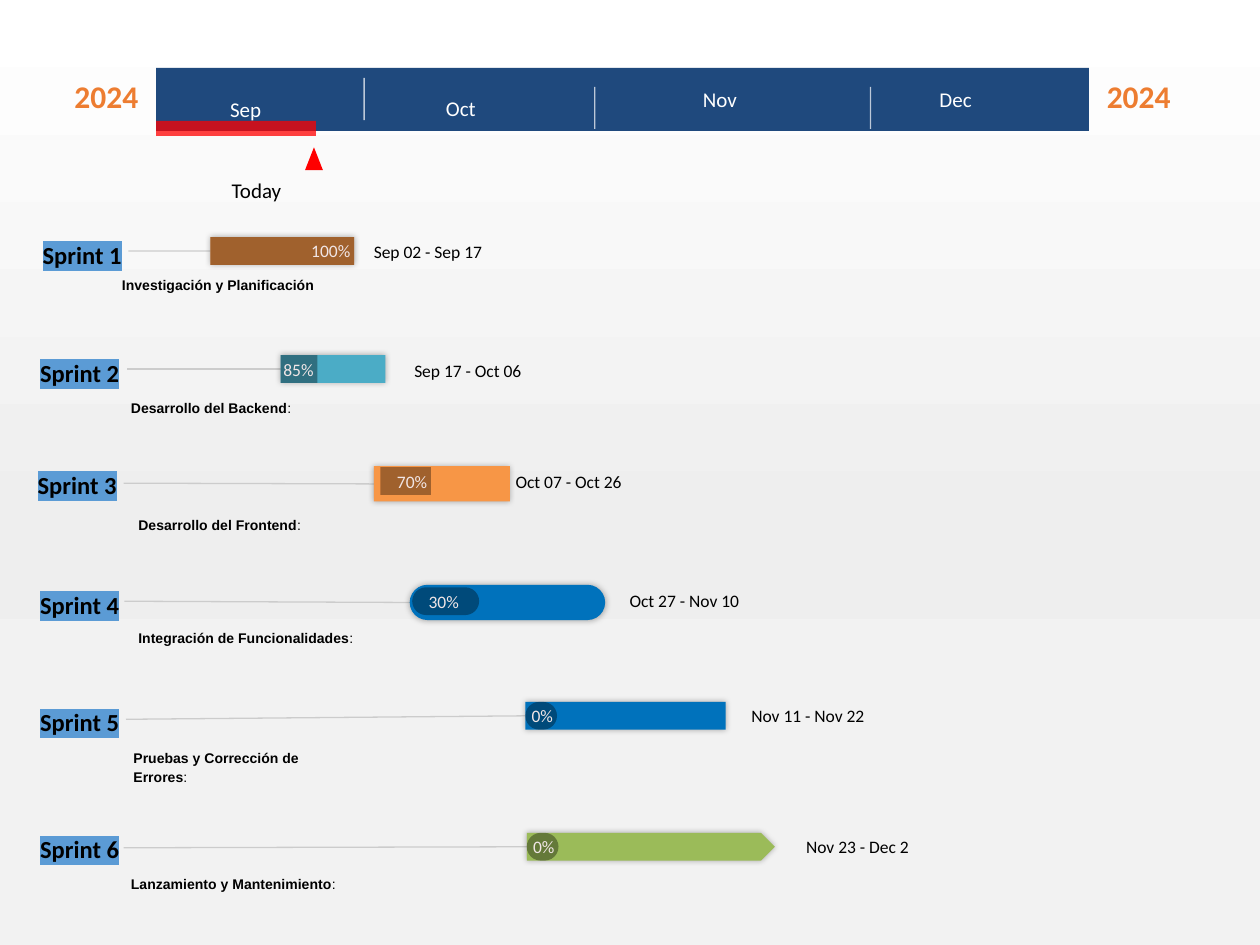
from collections import namedtuple

from lxml import etree
from pptx import Presentation
from pptx import util as u
from pptx.dml.color import RGBColor
from pptx.enum import shapes, text
from pptx.oxml import ns

KIND = shapes.MSO_SHAPE
ALIGN = text.PP_ALIGN
MIDDLE = text.MSO_ANCHOR.MIDDLE
NO_MARGINS = (0, 0, 0, 0)

YEAR = {"name": "Calibri", "size": u.Pt(18), "bold": True, "color": "ED7D31"}
MONTH = {"name": "Calibri", "size": u.Pt(12), "color": "FFFFFF"}
TODAY = {"name": "Calibri", "size": u.Pt(12), "color": "000000"}
SPRINT = {"name": "Calibri", "size": u.Pt(14), "bold": True, "color": "000000"}
DATES = {"name": "Calibri", "size": u.Pt(10), "color": "000000"}
PERCENT = {"name": "Calibri", "size": u.Pt(10), "color": "F1E6E6"}
TASK = {"name": "Arial", "size": u.Pt(8), "bold": True, "color": "000000"}
COLON = {**TASK, "bold": False}
TASK_SPACING = {"line_spacing": 1.15, "space_before": u.Pt(12), "space_after": u.Pt(12)}

Sprint = namedtuple(
    "Sprint", "label line kind color bar done_kind done percent align dates period task_box task colon"
)
SPRINTS = [
    Sprint((0.86, 4.83, 2.34, 0.61), (2.59, 5.06), KIND.RECTANGLE, "F79646", (4.24, 4.78, 2.9, 0.56),
           KIND.RECTANGLE, (4.24, 4.78, 2.9, 0.56), "100% ", ALIGN.RIGHT,
           (7.34, 4.85, 2.57, 0.43), "Sep 02 - Sep 17",
           (2.21, 5.33, 4.55, 0.86), "Investigación y Planificación", ""),
    Sprint((0.81, 7.21, 1.65, 0.61), (2.57, 7.44), KIND.RECTANGLE, "4BACC6", (5.66, 7.16, 2.11, 0.56),
           KIND.RECTANGLE, (5.66, 7.16, 0.74, 0.56), "85% ", ALIGN.RIGHT,
           (8.26, 7.19, 2.34, 0.56), "Sep 17 - Oct 06",
           (2.39, 7.8, 3.91, 0.86), "Desarrollo del Backend", ":"),
    Sprint((0.76, 9.47, 1.75, 0.61), (2.49, 9.74), KIND.RECTANGLE, "F79646", (7.54, 9.4, 2.74, 0.71),
           KIND.RECTANGLE, (7.67, 9.42, 1.02, 0.56), "70% ", ALIGN.RIGHT,
           (10.24, 9.5, 2.44, 0.43), "Oct 07 - Oct 26",
           (2.54, 10.16, 4.37, 0.86), "Desarrollo del Frontend", ":"),
    Sprint((0.81, 11.89, 1.75, 0.61), (2.51, 12.12), KIND.ROUNDED_RECTANGLE, "0072BC",
           (8.26, 11.79, 3.94, 0.71),
           KIND.ROUNDED_RECTANGLE, (8.31, 11.84, 1.35, 0.56), "30% ", ALIGN.CENTER,
           (12.55, 11.76, 2.49, 0.71), "Oct 27 - Nov 10",
           (2.54, 12.45, 5.18, 0.86), "Integración de Funcionalidades", ":"),
    Sprint((0.81, 14.25, 1.65, 0.61), (2.54, 14.5), KIND.RECTANGLE, "0072BC", (10.59, 14.15, 4.04, 0.56),
           KIND.ROUNDED_RECTANGLE, (10.59, 14.15, 0.64, 0.56), "0% ", ALIGN.RIGHT,
           (15.04, 14.15, 2.49, 0.56), "Nov 11 - Nov 22",
           (2.44, 14.81, 4.95, 0.86), "Pruebas y Corrección de Errores", ":"),
    Sprint((0.81, 16.81, 2.06, 0.61), (2.49, 17.09), KIND.PENTAGON, "9BBB59", (10.62, 16.79, 5, 0.56),
           KIND.ROUNDED_RECTANGLE, (10.62, 16.79, 0.64, 0.56), "0% ", ALIGN.RIGHT,
           (16.03, 16.81, 2.51, 0.51), "Nov 23 - Dec 2",
           (2.39, 17.4, 4.9, 0.86), "Lanzamiento y Mantenimiento", ":"),
]


def rgb(color):
    """Turn a hex string into a colour."""
    return RGBColor.from_string(color)


def add_node(parent, tag, **values):
    """Append a drawing element with attributes."""
    return etree.SubElement(parent, ns.qn(tag), {key: str(value) for key, value in values.items()})


def fade(item, opacity):
    """Make the colours of a shape or line partly transparent."""
    for node in item.element.spPr.iter(ns.qn("a:srgbClr")):
        add_node(node, "a:alpha", val=opacity * 1000)


def add_backdrop(page):
    """Give the page a vertical grey gradient."""
    fill = page.background.fill
    fill.gradient()
    fill.gradient_angle = 270
    stops = page.element.xpath(".//a:gsLst")[0]
    for old in list(stops):
        stops.remove(old)
    for position, color in ((0, "FFFFFF"), (57, "EEEEEE"), (74, "F2F2F2"), (100, "F2F2F2")):
        add_node(add_node(stops, "a:gs", pos=position * 1000), "a:srgbClr", val=color)


def write(shape, spans, align=ALIGN.LEFT, anchor=MIDDLE, margins=NO_MARGINS, spacing=None):
    """Fill a shape with one paragraph of formatted spans."""
    frame = shape.text_frame
    frame.word_wrap, frame.vertical_anchor = True, anchor
    for side, margin in zip(("left", "top", "right", "bottom"), margins):
        setattr(frame, f"margin_{side}", u.Cm(margin))
    para = frame.paragraphs[0]
    para.alignment = align
    for key, value in (spacing or {}).items():
        setattr(para, key, value)
    for words, style in spans:
        span = para.add_run()
        span.text = words
        for key, value in style.items():
            if key == "color":
                span.font.color.rgb = rgb(value)
            else:
                setattr(span.font, key, value)


def add_text(page, box, spans, **layout):
    """Add a text box."""
    shape = page.shapes.add_textbox(*map(u.Cm, box))
    write(shape, spans, **layout)
    return shape


def add_block(page, kind, box, color, opacity=None, shadow=False):
    """Add a filled shape without outline."""
    shape = page.shapes.add_shape(kind, *map(u.Cm, box))
    shape.shadow.inherit = False
    shape.fill.solid()
    shape.fill.fore_color.rgb = rgb(color)
    shape.line.fill.background()
    if kind == KIND.ROUNDED_RECTANGLE:
        shape.adjustments[0] = 0.5
    if opacity:
        fade(shape, opacity)
    if shadow:
        effects = shape.element.spPr.find(ns.qn("a:effectLst"))
        outer = add_node(effects, "a:outerShdw", blurRad=u.Pt(3.5), dist=0, dir=0)
        add_node(add_node(outer, "a:srgbClr", val="000000"), "a:alpha", val=30000)
    return shape


def add_line(page, ends, color):
    """Add a thin straight line."""
    line = page.shapes.add_connector(shapes.MSO_CONNECTOR.STRAIGHT, *map(u.Cm, ends))
    line.line.color.rgb = rgb(color)
    line.line.width = u.Pt(0.75)
    add_node(line.element.spPr, "a:effectLst")
    return line


def add_header(page):
    """Add the month band, the years and the marker for today."""
    add_block(page, KIND.RECTANGLE, (3.15, 1.37, 18.8, 1.27), "1F497D")
    for left in (1.14, 21.95):
        add_text(page, (left, 1.55, 2.01, 0.76), [("2024", YEAR)],
                 align=ALIGN.CENTER, margins=(0.35, 0, 0.35, 0))
    for month, left, top in (("Sep", 4.39, 1.57), ("Oct", 8.74, 1.55), ("Nov", 13.92, 1.37), ("Dec", 18.69, 1.37)):
        add_text(page, (left, top, 1.57, 1.27), [(month, MONTH)], margins=(0.25, 0.13, 0.25, 0.13))
    for left, top in ((7.34, 1.57), (11.99, 1.75), (17.55, 1.75)):
        fade(add_line(page, (left, top, left, top + 0.85), "FFFFFF"), 70)
    add_block(page, KIND.RECTANGLE, (3.15, 2.44, 3.22, 0.3), "FF0000", opacity=75)
    add_block(page, KIND.ISOSCELES_TRIANGLE, (6.15, 2.97, 0.36, 0.46), "FF0000")
    add_text(page, (4.67, 3.58, 1.02, 0.51), [("Today", TODAY)], anchor=text.MSO_ANCHOR.TOP)


def add_sprint(page, number, sprint):
    """Add one sprint with its bar, progress, dates and task."""
    left, top, _, height = sprint.bar
    line = add_line(page, (*sprint.line, left, top + height / 2), "CCCCCC")
    bar = add_block(page, sprint.kind, sprint.bar, sprint.color, shadow=True)
    line.end_connect(bar, 1)
    done = add_block(page, sprint.done_kind, sprint.done, "000000", opacity=35)
    write(done, [(sprint.percent, PERCENT)], align=sprint.align)
    label = add_text(page, sprint.label, [(f"Sprint {number}", SPRINT)])
    ink = label.element.xpath(".//a:rPr/a:solidFill")[0]
    highlight = add_node(ink.getparent(), "a:highlight")
    add_node(highlight, "a:srgbClr", val="5B9BD5")
    ink.addnext(highlight)
    add_text(page, sprint.dates, [(sprint.period, DATES)], align=ALIGN.CENTER)
    spans = [(words, style) for words, style in ((sprint.task, TASK), (sprint.colon, COLON)) if words]
    add_text(page, sprint.task_box, spans, anchor=text.MSO_ANCHOR.TOP,
             margins=(0.25,) * 4, spacing=TASK_SPACING)


def main():
    """Build the sprint timeline."""
    deck = Presentation()
    deck.slide_width, deck.slide_height = u.Cm(25.4), u.Cm(19.05)
    page = deck.slides.add_slide(deck.slide_layouts[6])
    add_backdrop(page)
    add_header(page)
    for number, sprint in enumerate(SPRINTS, 1):
        add_sprint(page, number, sprint)
    deck.save("out.pptx")


if __name__ == "__main__":
    main()
